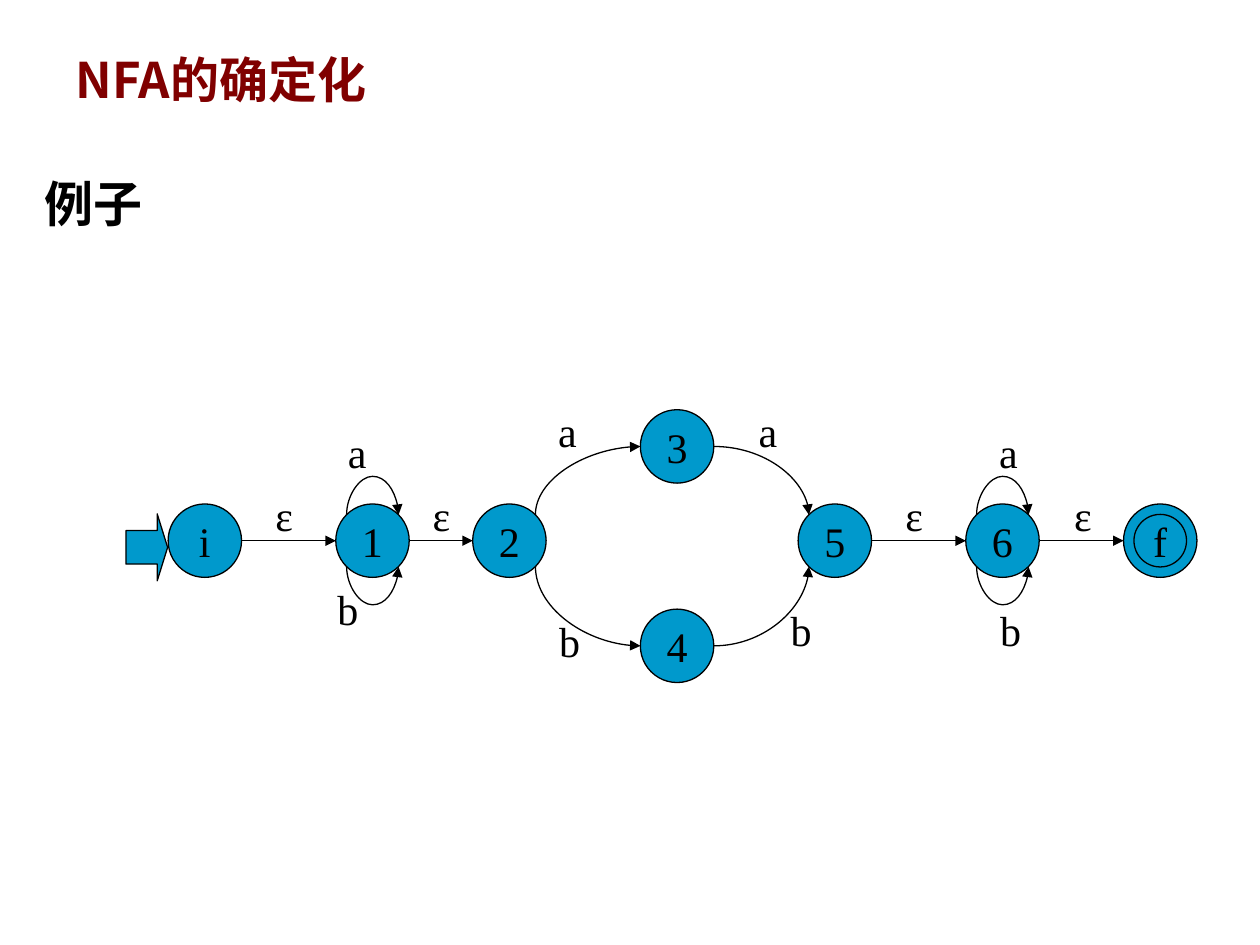
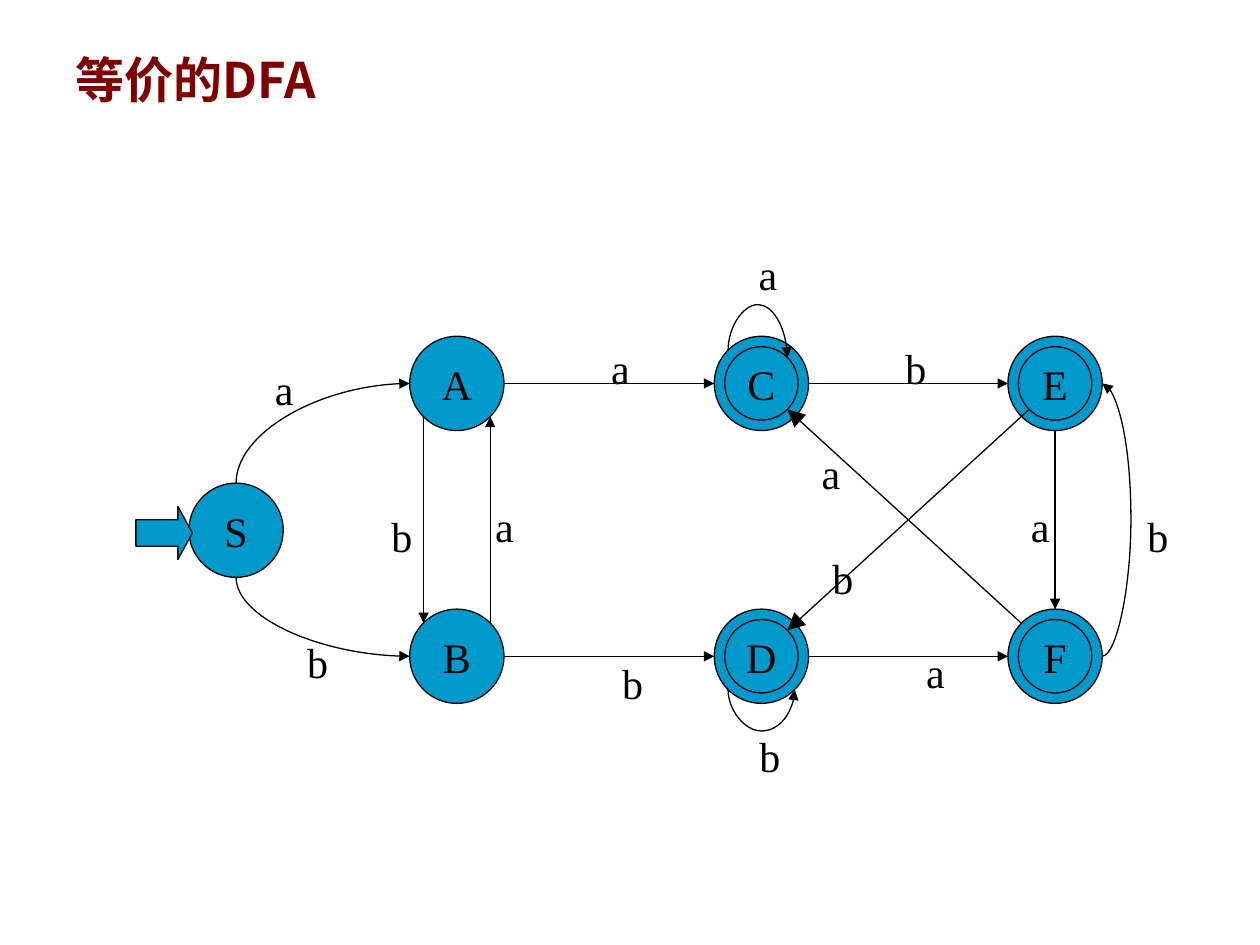
from lxml import etree
from pptx import Presentation, util as u
from pptx.dml import color as colors
from pptx.enum import shapes, text
from pptx.oxml import ns

BLUE, BLACK, MAROON = "0099CC", "000000", "800000"
SANS, SERIF = "Noto Sans CJK SC", "Times New Roman"
LINE_WIDTH = u.Pt(0.75)
LABEL_WIDTH, LABEL_HEIGHT = 0.9, 1.27
FLAT = 0.0044
DIAGONAL = 0.5 ** 0.5
SITES = {
    "N": (0, -1), "E": (1, 0), "S": (0, 1), "W": (-1, 0),
    "NE": (DIAGONAL, -DIAGONAL), "SE": (DIAGONAL, DIAGONAL),
    "SW": (-DIAGONAL, DIAGONAL), "NW": (-DIAGONAL, -DIAGONAL),
}

# state: name, centre x, centre y, accepting; edge: state, site, state, site, route
automata = [
    {
        "title": "NFA的确定化", "body": "例子",
        "outer": 1.48, "inner": 1.06,
        "states": [
            ("4", 13.65, 13.02, False), ("f", 23.39, 10.9, True),
            ("3", 13.65, 9, False), ("5", 16.83, 10.9, False),
            ("6", 20.21, 10.9, False), ("2", 10.27, 10.9, False),
            ("1", 7.51, 10.9, False), ("i", 4.13, 10.9, False),
        ],
        "front": [],
        "edges": [
            ("i", "E", "1", "W", "straight"), ("1", "E", "2", "W", "straight"),
            ("5", "E", "6", "W", "straight"), ("6", "E", "f", "W", "straight"),
            ("2", "NE", "3", "W", "bend"), ("2", "SE", "4", "W", "bend"),
            ("3", "E", "5", "NW", "bend"), ("4", "E", "5", "SW", "bend"),
            ("1", "NW", "1", "NE", -0.85), ("1", "SW", "1", "SE", 0.85),
            ("6", "NW", "6", "NE", -0.85), ("6", "SW", "6", "SE", 0.85),
        ],
        "labels": {
            "ε": [(5.73, 10.37), (8.9, 10.37), (18.43, 10.37), (21.83, 10.37)],
            "a": [(7.2, 9.1), (15.48, 8.69), (20.33, 9.1), (11.44, 8.69)],
            "b": [(7, 12.27), (11.47, 12.91), (16.14, 12.7), (20.36, 12.7)],
        },
        "entry": (2.54, 10.36, 0.84, 1.35, 0.25),
    },
    {
        "title": "等价的DFA", "body": "",
        "outer": 1.9, "inner": 1.48,
        "states": [
            ("C", 15.35, 7.73, True), ("D", 15.35, 13.23, True),
            ("B", 9.21, 13.23, False), ("A", 9.21, 7.73, False),
            ("E", 21.27, 7.73, True), ("S", 4.76, 10.69, False),
        ],
        "front": [("F", 21.27, 13.23, True)],
        "edges": [
            ("S", "N", "A", "W", "bend"), ("S", "S", "B", "W", "bend"),
            ("B", "NE", "A", "SE", "straight"), ("A", "SW", "B", "NW", "straight"),
            ("A", "E", "C", "W", "straight"), ("B", "E", "D", "W", "straight"),
            ("D", "E", "F", "W", "straight"), ("C", "E", "E", "W", "straight"),
            ("E", "S", "F", "N", "straight"), ("F", "E", "E", "E", 0.64),
            ("C", "NW", "inner C", "NE", -0.92), ("D", "SW", "D", "SE", 0.92),
            ("inner F", "NW", "inner C", "SE", "straight"),
            ("inner E", "SW", "inner D", "NE", "straight"),
        ],
        "labels": {
            "a": [(15.48, 5.51), (5.73, 7.83), (10.17, 10.59), (12.51, 7.41),
                  (20.97, 10.59), (18.86, 13.55), (16.75, 9.53)],
            "b": [(23.33, 10.8), (6.39, 13.34), (8.09, 10.8), (12.74, 13.76),
                  (18.45, 7.41), (15.51, 15.24), (16.98, 11.64)],
        },
        "entry": (2.74, 10.21, 1.14, 1.07, 0.273),
    },
]


def color(value):
    return colors.RGBColor.from_string(value)


def write(box, words, size, face, tint, align, anchor, bold=False):
    frame = box.text_frame
    frame.word_wrap = align == text.PP_ALIGN.LEFT
    frame.vertical_anchor = anchor
    para = frame.paragraphs[0]
    para.text = words
    para.alignment = align
    para.font.size = u.Pt(size)
    para.font.bold = bold
    para.font.name = face
    para.font.color.rgb = color(tint)
    properties = para._p.pPr.find(ns.qn("a:defRPr"))
    etree.SubElement(properties, ns.qn("a:ea"), typeface=face)


deck = Presentation()
deck.slide_width, deck.slide_height = u.Cm(25.4), u.Cm(19.05)
LEFT, CENTER = text.PP_ALIGN.LEFT, text.PP_ALIGN.CENTER
TOP, MIDDLE = text.MSO_ANCHOR.TOP, text.MSO_ANCHOR.MIDDLE

for automaton in automata:
    page = deck.slides.add_slide(deck.slide_layouts[6])
    box = page.shapes.add_textbox(u.Cm(1.28), u.Cm(0.42), u.Cm(23.3), u.Cm(2.34))
    write(box, automaton["title"], 28, SANS, MAROON, LEFT, MIDDLE, True)
    if automaton["body"]:
        box = page.shapes.add_textbox(u.Cm(0.64), u.Cm(3.38), u.Cm(24.13), u.Cm(14.4))
        write(box, automaton["body"], 28, SANS, BLACK, LEFT, TOP, True)

    circles = {}
    back, front = [], []
    for group, layer in (("states", back), ("front", front)):
        for name, x, y, accepting in automaton[group]:
            rings = [(name, automaton["outer"], "" if accepting else name)]
            if accepting:
                rings.append(("inner " + name, automaton["inner"], name))
            for key, size, words in rings:
                circles[key] = (x, y, size / 2)
                layer.append((shapes.MSO_SHAPE.OVAL, x - size / 2, y - size / 2,
                              size, size, words, None))
    left, top, width, height, head = automaton["entry"]
    front.append((shapes.MSO_SHAPE.RIGHT_ARROW, left, top, width, height, "", head))

    for layer in (back, front):
        for preset, left, top, width, height, words, head in layer:
            solid = page.shapes.add_shape(
                preset, u.Cm(left), u.Cm(top), u.Cm(width), u.Cm(height))
            solid.shadow.inherit = False
            solid.fill.solid()
            solid.fill.fore_color.rgb = color(BLUE)
            solid.line.color.rgb = color(BLACK)
            solid.line.width = LINE_WIDTH
            if head:
                solid.adjustments[1] = head
            if words:
                write(solid, words, 24, SERIF, BLACK, CENTER, MIDDLE)
        if layer is front:
            continue

        for start, start_site, end, end_site, route in automaton["edges"]:
            points = []
            for key, site in ((start, start_site), (end, end_site)):
                x, y, radius = circles[key]
                points.append((x + radius * SITES[site][0], y + radius * SITES[site][1]))
            (x1, y1), (x2, y2) = points
            straight = route == "straight"
            kind = shapes.MSO_CONNECTOR.STRAIGHT if straight else shapes.MSO_CONNECTOR.CURVE
            link = page.shapes.add_connector(kind, u.Cm(x1), u.Cm(y1), u.Cm(x2), u.Cm(y2))
            link.line.color.rgb = color(BLACK)
            link.line.width = LINE_WIDTH
            properties = link._element.spPr
            etree.SubElement(properties, ns.qn("a:effectLst"))
            reach = "lg" if straight and start.startswith("inner") else "med"
            etree.SubElement(properties.find(ns.qn("a:ln")), ns.qn("a:tailEnd"),
                             type="triangle", w=reach, len=reach)
            if straight:
                continue

            geometry = properties.find(ns.qn("a:prstGeom"))
            frame = properties.find(ns.qn("a:xfrm"))
            for flip in ("flipH", "flipV"):
                frame.attrib.pop(flip, None)
            width, height = abs(x2 - x1), abs(y2 - y1)
            upright = start_site != "E"
            turn, flip = 0, "flipV" if y2 < y1 else None
            if upright:
                turn, flip = 270, "flipH" if y2 > y1 else None
                width, height = height, width
            if route == "bend":
                geometry.set("prst", "curvedConnector2")
            else:
                turn, flip = (0, "flipV") if not upright else (
                    (90, "flipV") if route < 0 else (270, "flipH"))
                width = max(width, FLAT)
                guides = geometry.find(ns.qn("a:avLst"))
                if guides is None:
                    guides = etree.SubElement(geometry, ns.qn("a:avLst"))
                etree.SubElement(guides, ns.qn("a:gd"), name="adj1",
                                 fmla=f"val {round(route / width * 100000)}")
            link.left = u.Cm((x1 + x2 - width) / 2)
            link.top = u.Cm((y1 + y2 - height) / 2)
            link.width, link.height = u.Cm(width), u.Cm(height)
            if turn:
                frame.set("rot", str(turn * 60000))
            if flip:
                frame.set(flip, "1")

    for words, centres in automaton["labels"].items():
        for x, y in centres:
            box = page.shapes.add_textbox(
                u.Cm(x - LABEL_WIDTH / 2), u.Cm(y - LABEL_HEIGHT / 2),
                u.Cm(LABEL_WIDTH), u.Cm(LABEL_HEIGHT))
            write(box, words, 24, SERIF, BLACK, CENTER, MIDDLE)

deck.save("out.pptx")
